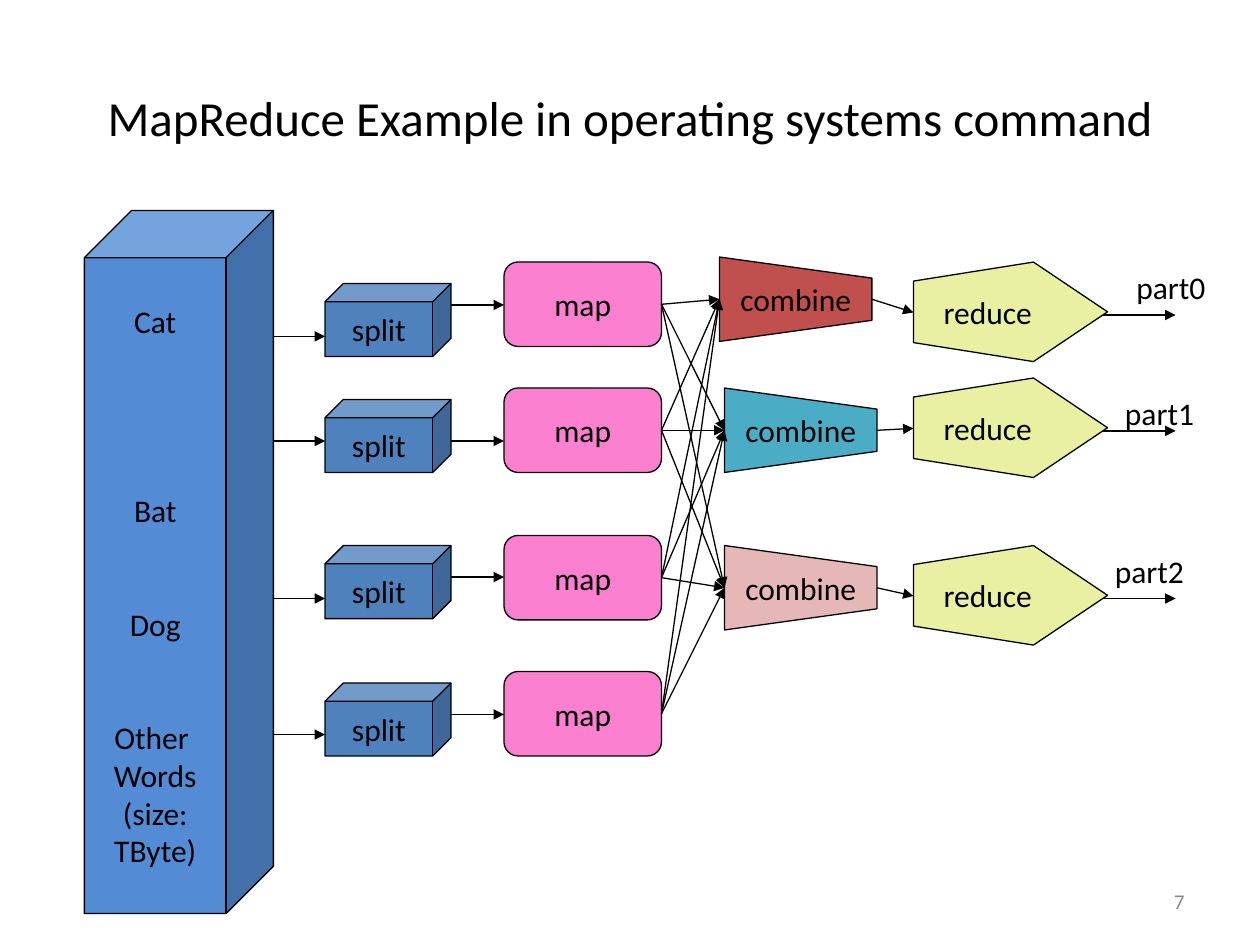
from lxml import etree
from pptx import Presentation
from pptx import util as u
from pptx.dml.color import RGBColor
from pptx.enum import shapes, text
from pptx.oxml.ns import qn

KIND = shapes.MSO_SHAPE
ALIGN = text.PP_ALIGN
ANCHOR = text.MSO_ANCHOR


def color(code):
    """Turn a hex string into a colour."""
    return RGBColor.from_string(code)


class Board:
    """Holds the style and the current slide."""

    font, size, ink, width = "Calibri", 18, "000000", 0.75

    def __init__(self, slide):
        """Start drawing on a slide."""
        self.slide = slide
        self.items = slide.shapes

    def fill_text(self, shape, lines, align=ALIGN.CENTER, anchor=ANCHOR.MIDDLE,
                  size=None, ink=None, wrap=True):
        """Set (words, space before) pairs, one paragraph each."""
        frame = shape.text_frame
        frame.word_wrap = wrap
        frame.vertical_anchor = anchor
        for i, (words, gap) in enumerate(lines):
            para = frame.paragraphs[0] if i == 0 else frame.add_paragraph()
            para.alignment = align
            para.space_before = u.Pt(gap)
            run = para.add_run()
            run.text = words
            run.font.name = self.font
            run.font.size = u.Pt(size or self.size)
            run.font.color.rgb = color(ink or self.ink)

    def paint(self, shape, fill):
        """Give a shape its fill and outline."""
        shape.shadow.inherit = False
        shape.fill.solid()
        shape.fill.fore_color.rgb = color(fill)
        shape.line.color.rgb = color(self.ink)
        shape.line.width = u.Pt(self.width)

    def title(self, words, box, size):
        """Place and fill the title."""
        shape = self.items.title
        shape.left, shape.top, shape.width, shape.height = map(u.Inches, box)
        self.fill_text(shape, [(words, 0)], size=size)

    def shape(self, kind, box, fill, lines=(), turn=0):
        """Draw a preset shape, with text if given."""
        shape = self.items.add_shape(kind, *map(u.Inches, box))
        self.paint(shape, fill)
        shape.rotation = turn
        if lines:
            self.fill_text(shape, lines)

    def label(self, words, box, **style):
        """Draw a text box."""
        shape = self.items.add_textbox(*map(u.Inches, box))
        self.fill_text(shape, [(words, 0)], **style)

    def funnel(self, box, fill, inset):
        """Draw a trapezoid that narrows to the right."""
        x, y, w, h = box
        pts = [(x, y), (x + w, y + inset), (x + w, y + h - inset), (x, y + h)]
        pts = [(u.Inches(a), u.Inches(b)) for a, b in pts]
        pen = self.items.build_freeform(*pts[0])
        pen.add_line_segments(pts[1:], close=True)
        self.paint(pen.convert_to_shape(), fill)

    def arrow(self, x1, y1, x2, y2):
        """Draw an arrow from one point to another."""
        line = self.items.add_connector(
            shapes.MSO_CONNECTOR.STRAIGHT, *map(u.Inches, (x1, y1, x2, y2)))
        line.line.color.rgb = color(self.ink)
        line.line.width = u.Pt(self.width)
        props = line._element.spPr
        tip = etree.SubElement(props.find(qn("a:ln")), qn("a:tailEnd"))
        tip.set("type", "triangle")
        etree.SubElement(props, qn("a:effectLst"))


deck = Presentation()
deck.slide_width, deck.slide_height = u.Inches(10), u.Inches(7.5)
board = Board(deck.slides.add_slide(deck.slide_layouts[5]))
board.title("MapReduce Example in operating systems command",
            (0.5, 0.3, 9, 1.25), 28)

# Input data
LINE = 21.6
board.shape(KIND.CUBE, (0.67, 1.67, 1.5, 5.58), "538CD5", [
    ("Cat", 0), ("Bat", 4 * LINE), ("Dog", 2 * LINE), ("Other ", 2 * LINE),
    ("Words", 0), ("(size:", 0), ("TByte)", 0)])

# Split and map: split top, map top, arrow into split, arrow into map
rows = [(2.25, 2.08, 2.67, 2.42), (3.17, 3.08, 3.5, 3.5),
        (4.33, 4.25, 4.75, 4.58), (5.42, 5.33, 5.83, 5.67)]
for split, top, feed, leave in rows:
    board.shape(KIND.CUBE, (2.58, split, 1, 0.58), "4F81BD", [("split", 0)])
    board.shape(KIND.ROUNDED_RECTANGLE, (4, top, 1.25, 0.67), "FC80D0",
                [("map", 0)])
    board.arrow(2.17, feed, 2.58, feed)
    board.arrow(3.58, leave, 4, leave)

# Combine and reduce: combine corner, fill, reduce top, exit, label corner
lanes = [((5.71, 2.04), "C0504D", 2.08, 2.5, (8.92, 2.08)),
         ((5.75, 3.08), "4BACC6", 3, 3.42, (8.83, 3.08)),
         ((5.75, 4.33), "E5B8B7", 4.33, 4.75, (8.75, 4.33))]
WIDE, HIGH = 1.21, 0.67
LONG, THICK = 1.54, 0.79
for i, ((x, y), fill, top, leave, spot) in enumerate(lanes):
    box = (x, y, WIDE, HIGH)
    mid = y + HIGH / 2
    board.funnel(box, fill, HIGH / 4)
    board.label("combine", box)
    for _, start, _, _ in rows:
        board.arrow(5.25, start + HIGH / 2, x, mid)
    turned = (7.25 + (LONG - THICK) / 2, top - (LONG - THICK) / 2, THICK, LONG)
    board.shape(KIND.REGULAR_PENTAGON, turned, "EAF0A2", turn=90)
    board.label("reduce", (7.25, top + 0.15, 1.18, 0.49))
    board.arrow(x + WIDE, mid, 7.25, top + 0.4)
    board.arrow(8.75, leave, 9.33, leave)
    board.label(f"part{i}", (*spot, 0.77, 0.4), align=ALIGN.LEFT,
                anchor=ANCHOR.TOP, wrap=False)

board.label("7", (7.17, 6.95, 2.33, 0.4), align=ALIGN.RIGHT, size=12,
            ink="888888")
deck.save("out.pptx")
